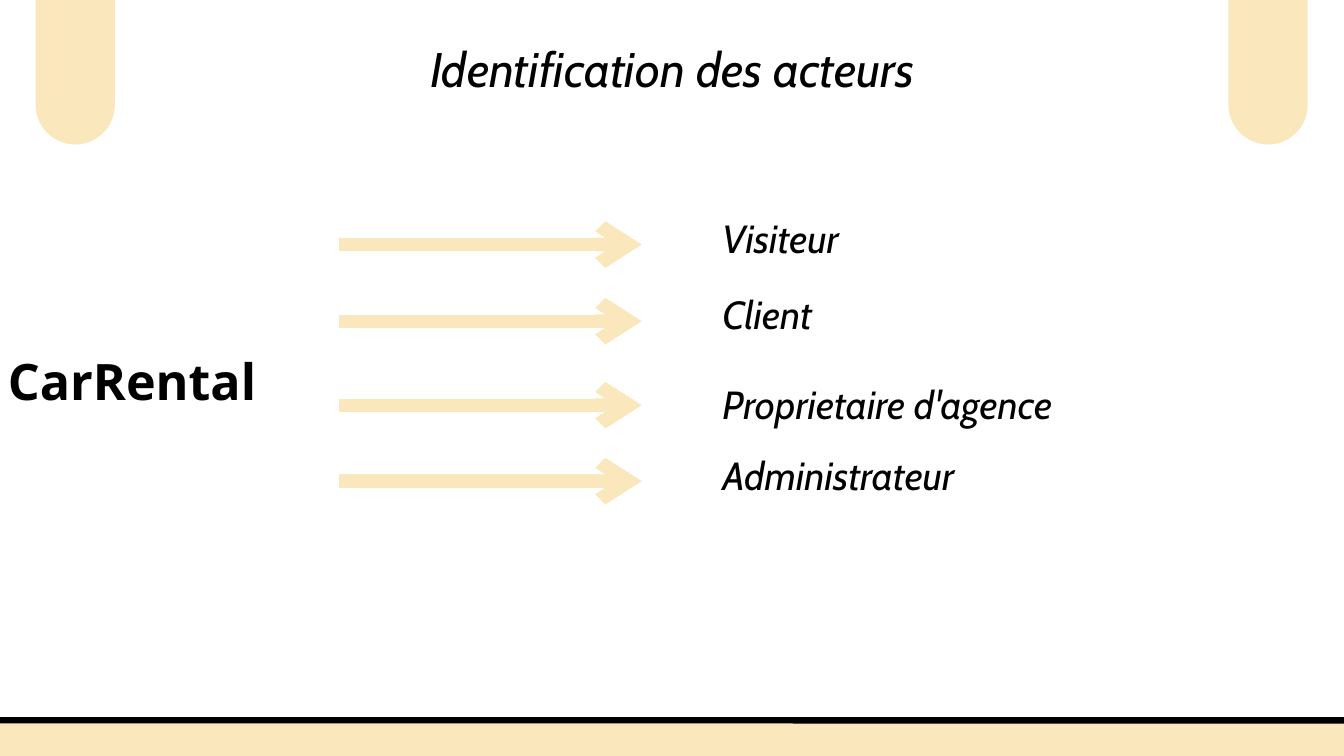
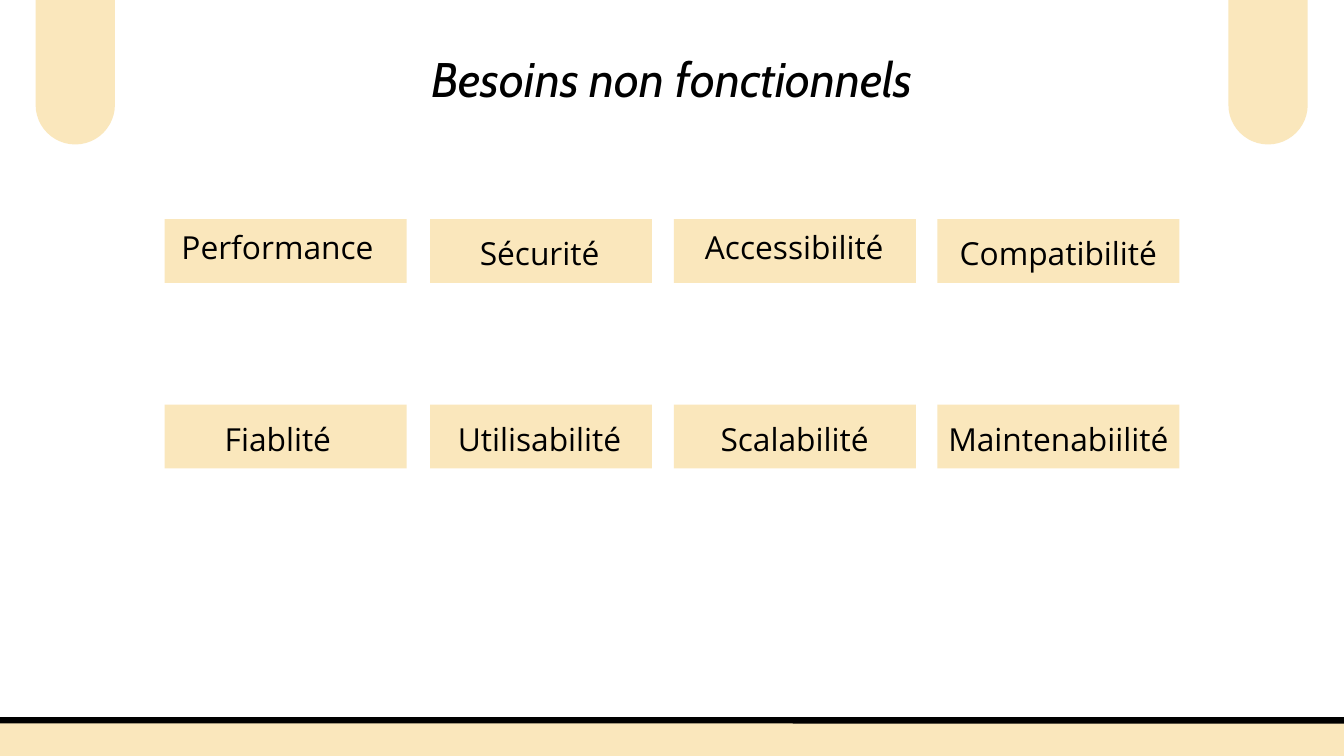
"""Build two slides: the actors and the non-functional needs of a car rental application."""
from dataclasses import dataclass

from lxml import etree
from pptx import Presentation
from pptx.dml.color import RGBColor
from pptx.enum.shapes import MSO_CONNECTOR, MSO_SHAPE
from pptx.enum.text import MSO_ANCHOR, MSO_AUTO_SIZE, PP_ALIGN
from pptx.oxml.ns import qn
from pptx.presentation import Presentation as Deck
from pptx.shapes.autoshape import Shape
from pptx.slide import Slide
from pptx.util import Inches, Pt

CREAM = RGBColor(0xFA, 0xE7, 0xBC)
BLACK = RGBColor(0x00, 0x00, 0x00)
ROUNDED, RECTANGLE = MSO_SHAPE.ROUNDED_RECTANGLE, MSO_SHAPE.RECTANGLE
STRAIGHT = MSO_CONNECTOR.STRAIGHT
TOP, MIDDLE = MSO_ANCHOR.TOP, MSO_ANCHOR.MIDDLE
LEFT, CENTER = PP_ALIGN.LEFT, PP_ALIGN.CENTER
NO_FIT = MSO_AUTO_SIZE.NONE
TITLE_ONLY = 5


@dataclass(frozen=True)
class Area:
    left: float
    top: float
    width: float
    height: float


@dataclass(frozen=True)
class Style:
    font: str
    size: float
    spacing: float
    bold: bool = False
    italic: bool = False
    align: PP_ALIGN = CENTER
    anchor: MSO_ANCHOR = TOP
    inset: float = 0
    wrap: bool = False


@dataclass(frozen=True)
class Actor:
    name: str
    arrow_y: float
    text_top: float


@dataclass(frozen=True)
class Need:
    name: str
    text_left: float
    text_top: float
    text_width: float


TITLE = Style("Cabin", 52, 72.8, italic=True)
SYSTEM = Style("Open Sans", 53.8, 75.3, bold=True)
ACTOR = Style("Cabin", 42, 58.8, italic=True, align=LEFT, anchor=MIDDLE, inset=0.06, wrap=True)
NEED = Style("Open Sans", 34, 47.6)

TAB_LEFTS = (0.53, 18.28)
FOOTER = Area(-0.58, 10.72, 21.16, 0.9)
ARROW_START, ARROW_END = 5.05, 9.55

ACTORS = (
    Actor("Visiteur", 3.64, 2.81),
    Actor("Client", 4.78, 3.94),
    Actor("Proprietaire d'agence", 6.03, 5.27),
    Actor("Administrateur", 7.16, 6.33),
)

CARD_COLUMNS = ((2.45, 3.6), (6.4, 3.3), (10.03, 3.6), (13.95, 3.6))
CARD_HEIGHT = 0.95
NEED_ROWS = (
    (3.26, (
        Need("Performance", 2.7, 3.3, 2.86),
        Need("Sécurité", 7.14, 3.38, 1.78),
        Need("Accessibilité", 10.49, 3.3, 2.66),
        Need("Compatibilité", 14.28, 3.38, 2.94),
    )),
    (6.02, (
        Need("Fiablité", 3.34, 6.15, 1.59),
        Need("Utilisabilité", 6.81, 6.15, 2.44),
        Need("Scalabilité", 10.72, 6.15, 2.21),
        Need("Maintenabiilité", 14.11, 6.15, 3.28),
    )),
)


def write(box: Shape, text: str, style: Style) -> None:
    """Put one styled line of text in a box."""
    frame = box.text_frame
    frame.auto_size = NO_FIT
    frame.word_wrap = style.wrap
    frame.vertical_anchor = style.anchor
    frame.margin_left = frame.margin_right = Inches(style.inset)
    frame.margin_top = frame.margin_bottom = Inches(style.inset)
    para = frame.paragraphs[0]
    para.alignment = style.align
    para.line_spacing = Pt(style.spacing)
    span = para.add_run()
    span.text = text
    span.font.name = style.font
    span.font.size = Pt(style.size)
    span.font.bold = style.bold
    span.font.italic = style.italic
    span.font.color.rgb = BLACK


def add_text(page: Slide, area: Area, text: str, style: Style) -> None:
    """Add a text box."""
    box = page.shapes.add_textbox(
        Inches(area.left), Inches(area.top), Inches(area.width), Inches(area.height))
    write(box, text, style)


def add_panel(page: Slide, kind: MSO_SHAPE, area: Area) -> Shape:
    """Add a cream shape without outline."""
    panel = page.shapes.add_shape(
        kind, Inches(area.left), Inches(area.top), Inches(area.width), Inches(area.height))
    panel.shadow.inherit = False
    panel.fill.solid()
    panel.fill.fore_color.rgb = CREAM
    panel.line.fill.background()
    return panel


def add_arrow(page: Slide, y: float) -> None:
    """Add a thick cream arrow at the given height."""
    arrow = page.shapes.add_connector(
        STRAIGHT, Inches(ARROW_START), Inches(y), Inches(ARROW_END), Inches(y))
    arrow.line.color.rgb = CREAM
    arrow.line.width = Pt(14.25)
    etree.SubElement(arrow.line._get_or_add_ln(), qn("a:tailEnd"), type="arrow")
    etree.SubElement(arrow._element.spPr, qn("a:effectLst"))


def add_page(deck: Deck, title: str, area: Area) -> Slide:
    """Add a page with its title, hanging tabs and footer band."""
    page = deck.slides.add_slide(deck.slide_layouts[TITLE_ONLY])
    for left in TAB_LEFTS:
        tab = add_panel(page, ROUNDED, Area(left, -1.08, 1.18, 3.23))
        tab.adjustments[0] = 0.5
    footer = add_panel(page, ROUNDED, FOOTER)
    footer.adjustments[0] = 0.1
    footer.line.color.rgb = BLACK
    footer.line.width = Pt(6.75)
    box = page.shapes.title
    box.left, box.top = Inches(area.left), Inches(area.top)
    box.width, box.height = Inches(area.width), Inches(area.height)
    write(box, title, TITLE)
    return page


def add_actors_page(deck: Deck) -> None:
    """Add the page that links the system to its actors."""
    page = add_page(deck, "Identification des acteurs", Area(6.01, 0.43, 7.98, 0.97))
    add_text(page, Area(0, 5.06, 3.93, 1.01), "CarRental", SYSTEM)
    for actor in ACTORS:
        add_arrow(page, actor.arrow_y)
        add_text(page, Area(10.69, actor.text_top, 5.77, 1.35), actor.name, ACTOR)


def add_needs_page(deck: Deck) -> None:
    """Add the page with the grid of non-functional needs."""
    page = add_page(deck, "Besoins non fonctionnels", Area(6.05, 0.59, 7.9, 0.97))
    for top, needs in NEED_ROWS:
        for (left, width), need in zip(CARD_COLUMNS, needs):
            add_panel(page, RECTANGLE, Area(left, top, width, CARD_HEIGHT))
            add_text(page, Area(need.text_left, need.text_top, need.text_width, 0.63),
                     need.name, NEED)


def main() -> None:
    """Build and save the deck."""
    deck = Presentation()
    deck.slide_width, deck.slide_height = Inches(20), Inches(11.25)
    add_actors_page(deck)
    add_needs_page(deck)
    deck.save("out.pptx")


if __name__ == "__main__":
    main()
